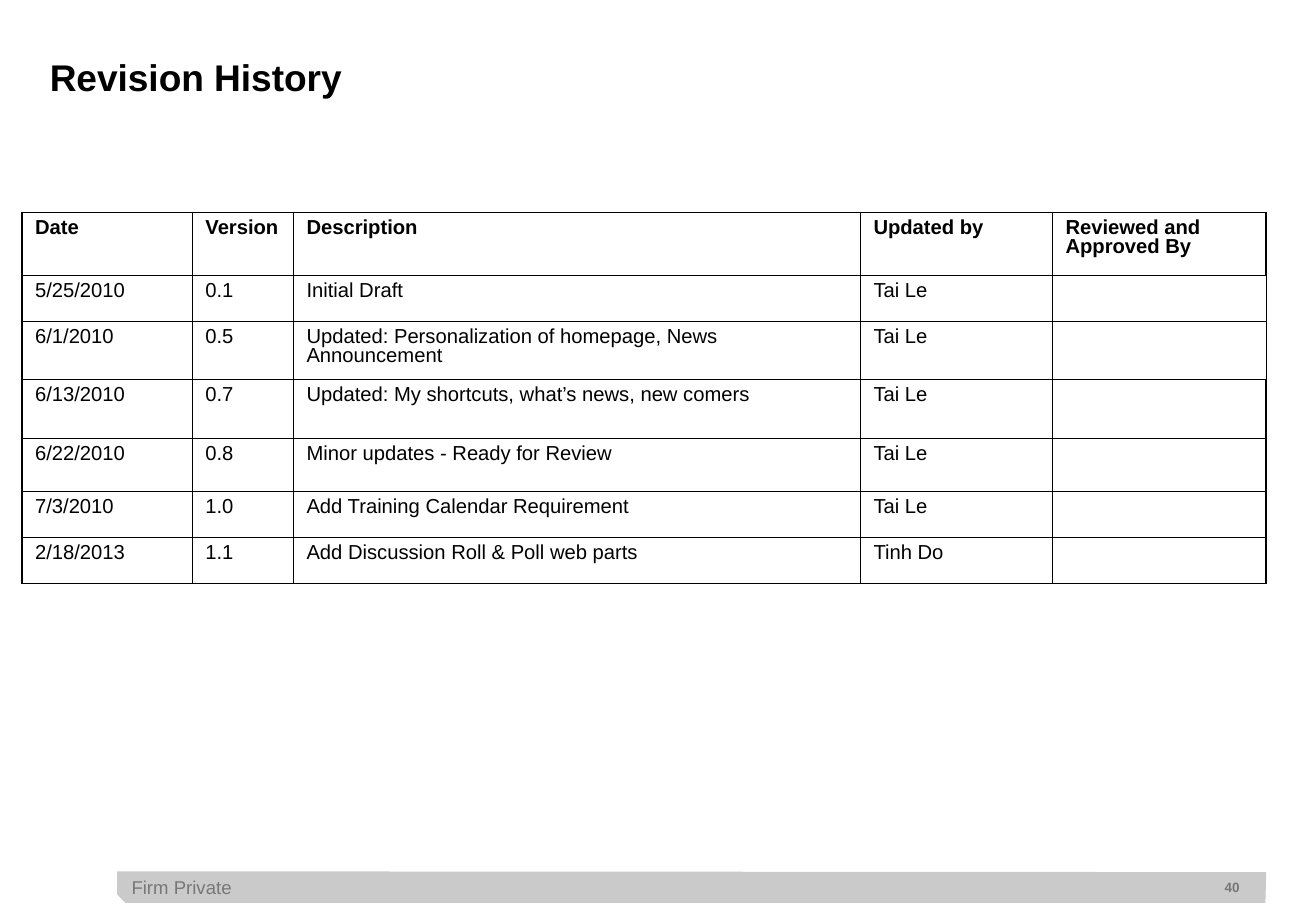
"""Builds the revision history slide."""
import pptx
import pptx.dml.color
import pptx.enum.text
import pptx.oxml
import pptx.oxml.ns
import pptx.util

Pt = pptx.util.Pt
ALIGN = pptx.enum.text.PP_ALIGN
ANCHOR = pptx.enum.text.MSO_ANCHOR

COLORS = {"text": "000000", "border": "000000", "bar": "CACACA", "footer": "777777"}
THIN, THICK = 0.45, 1.08

COLUMN_WIDTHS = [101, 60, 336.3, 113.9, 126.6]
ROW_HEIGHTS = [37.2, 27.3, 34.6, 34.8, 31.5, 27.3, 27.3]
THIN_RIGHT_ROWS = (1, 2)
REVISIONS = [
    ["Date", "Version", "Description", "Updated by", "Reviewed and Approved By"],
    ["5/25/2010", "0.1", "Initial Draft", "Tai Le", ""],
    ["6/1/2010", "0.5", "Updated: Personalization of homepage, News Announcement", "Tai Le", ""],
    ["6/13/2010", "0.7", "Updated: My shortcuts, what’s news, new comers", "Tai Le", ""],
    ["6/22/2010", "0.8", "Minor updates - Ready for Review", "Tai Le", ""],
    ["7/3/2010", "1.0", "Add Training Calendar Requirement", "Tai Le", ""],
    ["2/18/2013", "1.1", "Add Discussion Roll & Poll web parts", "Tinh Do", ""],
]

BAR_POINTS = [(69.4, 516.5), (69.4, 530.2), (74.4, 535.2), (750.5, 535.2), (751, 517)]


def set_attributes(target, values):
    for name, value in values.items():
        setattr(target, name, value)


def write_text(text_frame, text, size, color, bold=False, **paragraph_format):
    paragraph = text_frame.paragraphs[0]
    paragraph.text = text
    set_attributes(paragraph, paragraph_format)
    set_attributes(paragraph.font, {"name": "Arial", "size": Pt(size), "bold": bold})
    paragraph.font.color.rgb = pptx.dml.color.RGBColor.from_string(COLORS[color])


def set_frame(text_frame, anchor, margin_right=0):
    set_attributes(text_frame, {
        "margin_left": 0, "margin_top": 0, "margin_bottom": 0,
        "margin_right": Pt(margin_right), "word_wrap": True,
        "vertical_anchor": anchor,
        "auto_size": pptx.enum.text.MSO_AUTO_SIZE.NONE,
    })


def add_title(slide, text):
    title = slide.shapes.title
    set_attributes(title, {"left": Pt(29.5), "top": Pt(36), "width": Pt(721.5), "height": Pt(62)})
    set_frame(title.text_frame, ANCHOR.TOP)
    write_text(title.text_frame, text, 22, "text", True, alignment=ALIGN.LEFT, line_spacing=0.85)


def add_footer_bar(slide):
    points = [(Pt(x), Pt(y)) for x, y in BAR_POINTS]
    builder = slide.shapes.build_freeform(*points[0])
    builder.add_line_segments(points[1:], close=True)
    bar = builder.convert_to_shape()
    bar.shadow.inherit = False
    bar.fill.solid()
    bar.fill.fore_color.rgb = pptx.dml.color.RGBColor.from_string(COLORS["bar"])
    bar.line.fill.background()


def add_footer_text(slide, text, box, size, bold, alignment, margin_right=0):
    text_box = slide.shapes.add_textbox(*map(Pt, box))
    set_frame(text_box.text_frame, ANCHOR.MIDDLE, margin_right)
    write_text(text_box.text_frame, text, size, "footer", bold, alignment=alignment)


def set_borders(cell, widths):
    properties = cell._tc.get_or_add_tcPr()
    for side, width in widths.items():
        properties.append(pptx.oxml.parse_xml(
            f'<a:ln{side} {pptx.oxml.ns.nsdecls("a")} w="{int(Pt(width))}"><a:solidFill>'
            f'<a:srgbClr val="{COLORS["border"]}"/></a:solidFill></a:ln{side}>'))


def border_widths(row, column):
    last = column == len(COLUMN_WIDTHS) - 1
    return {
        "L": THICK if column == 0 else THIN,
        "R": THICK if last and row not in THIN_RIGHT_ROWS else THIN,
        "T": THICK if row == 0 else THIN,
        "B": THIN,
    }


def add_revision_table(slide):
    frame = slide.shapes.add_table(
        len(ROW_HEIGHTS), len(COLUMN_WIDTHS), Pt(13), Pt(126),
        Pt(sum(COLUMN_WIDTHS)), Pt(sum(ROW_HEIGHTS)))
    table = frame.table
    set_attributes(table, {"first_row": False, "horz_banding": False})
    for column, width in zip(table.columns, COLUMN_WIDTHS):
        column.width = Pt(width)
    for row, height in zip(table.rows, ROW_HEIGHTS):
        row.height = Pt(height)
    for row, values in enumerate(REVISIONS):
        for column, text in enumerate(values):
            cell = table.cell(row, column)
            set_attributes(cell, {
                "margin_left": Pt(7.8), "margin_right": Pt(7.8),
                "margin_top": Pt(3.8), "margin_bottom": Pt(3.6),
                "vertical_anchor": ANCHOR.TOP,
            })
            set_borders(cell, border_widths(row, column))
            cell.fill.background()
            write_text(cell.text_frame, text, 12, "text", row == 0, line_spacing=0.85)


def main():
    presentation = pptx.Presentation()
    set_attributes(presentation, {"slide_width": Pt(780.48), "slide_height": Pt(540)})
    slide = presentation.slides.add_slide(presentation.slide_layouts[5])
    add_footer_bar(slide)
    add_footer_text(slide, "Firm Private", (78, 519.4, 324.7, 13), 11, False, ALIGN.LEFT)
    add_footer_text(slide, "40", (497.8, 521, 246.2, 9.4), 8, True, ALIGN.RIGHT, 8.7)
    add_title(slide, "Revision History")
    add_revision_table(slide)
    presentation.save("out.pptx")


if __name__ == "__main__":
    main()
